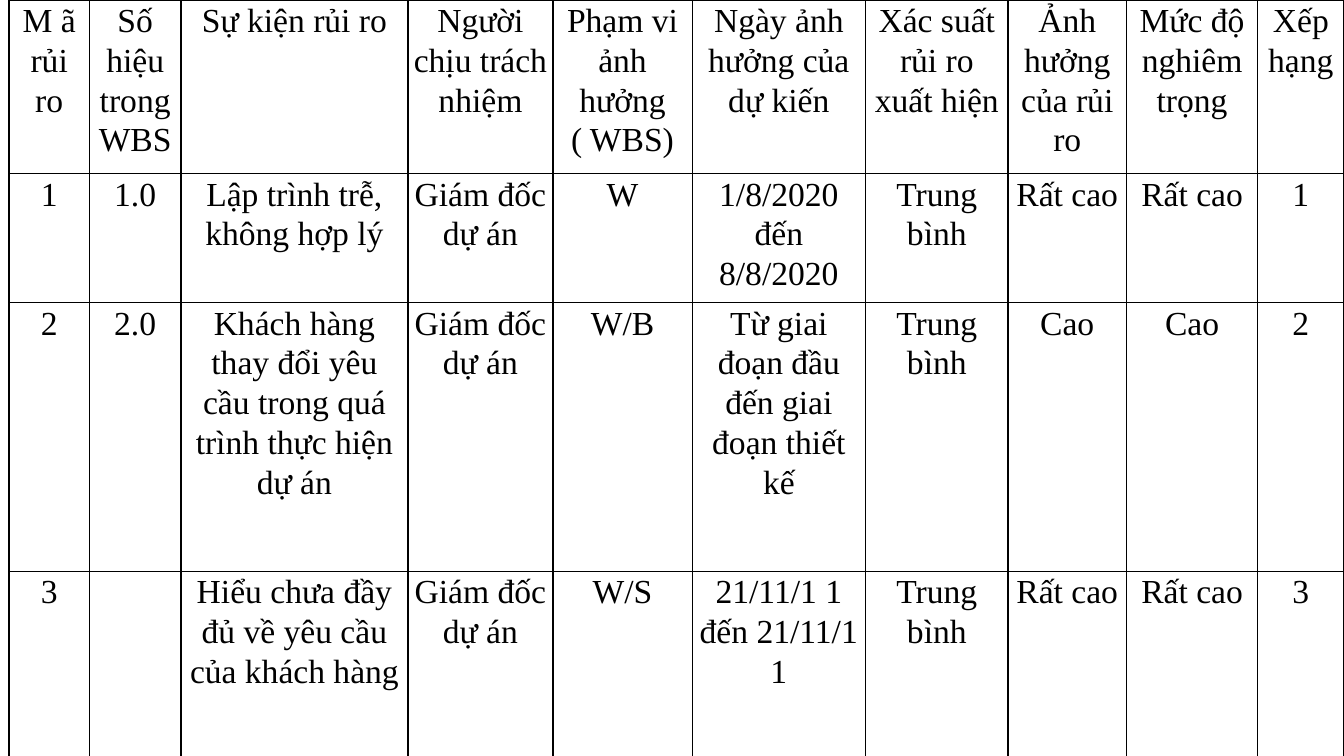
import pptx
import pptx.dml.color
import pptx.enum.text
import pptx.oxml
import pptx.oxml.ns
import pptx.util
from pptx.util import Cm

HEADERS = ["M ã rủi ro", "Số hiệu trong WBS", "Sự kiện rủi ro",
           "Người chịu trách nhiệm", "Phạm vi ảnh hưởng ( WBS)",
           "Ngày ảnh hưởng của dự kiến", "Xác suất rủi ro xuất hiện",
           "Ảnh hưởng của rủi ro", "Mức độ nghiêm trọng", "Xếp hạng"]
MANAGER = "Giám đốc dự án"
MEDIUM, HIGH, VERY_HIGH = "Trung bình", "Cao", "Rất cao"
RISKS = [
    ["1", "1.0", "Lập trình trễ, không hợp lý", MANAGER, "W",
     "1/8/2020 đến 8/8/2020", MEDIUM, VERY_HIGH, VERY_HIGH, "1"],
    ["2", "2.0", "Khách hàng thay đổi yêu cầu trong quá trình thực hiện dự án",
     MANAGER, "W/B", "Từ giai đoạn đầu đến giai đoạn thiết kế",
     MEDIUM, HIGH, HIGH, "2"],
    ["3", "", "Hiểu chưa đầy đủ về yêu cầu của khách hàng", MANAGER, "W/S",
     "21/11/1 1 đến 21/11/1 1", MEDIUM, VERY_HIGH, VERY_HIGH, "3"],
]
COL_WIDTHS = [1.52, 1.73, 4.29, 2.74, 2.63, 3.28, 2.69, 2.24, 2.48, 1.63]
ROW_HEIGHTS = [3.28, 2.44, 5.08, 3.51]


def color(value):
    return pptx.dml.color.RGBColor.from_string(value)


class SlideBuilder:
    font = "Times New Roman"
    size = 18
    ink = "000000"
    border_width = 0.75
    line_spacing = 1.07

    def __init__(self, slide):
        self.slide = slide

    def table(self, left, top, widths, heights, rows):
        frame = self.slide.shapes.add_table(
            len(rows), len(widths), Cm(left), Cm(top),
            Cm(sum(widths)), Cm(sum(heights)))
        table = frame.table
        table.first_row = table.horz_banding = False
        for column, width in zip(table.columns, widths):
            column.width = Cm(width)
        for row, height in zip(table.rows, heights):
            row.height = Cm(height)
        for row, texts in zip(table.rows, rows):
            for cell, text in zip(row.cells, texts):
                self.cell(cell, text)

    def cell(self, cell, text):
        self.borders(cell)
        cell.fill.background()
        cell.margin_left = cell.margin_right = Cm(0.08)
        cell.margin_top = cell.margin_bottom = 0
        p = cell.text_frame.paragraphs[0]
        p.text = text
        p.alignment = pptx.enum.text.PP_ALIGN.CENTER
        p.line_spacing = self.line_spacing
        p.font.name = self.font
        p.font.size = pptx.util.Pt(self.size)
        p.font.color.rgb = color(self.ink)

    def borders(self, cell):
        props = cell._tc.get_or_add_tcPr()
        width = pptx.util.Pt(self.border_width)
        for side in "LRTB":
            props.append(pptx.oxml.parse_xml(
                f'<a:ln{side} {pptx.oxml.ns.nsdecls("a")} w="{width}">'
                f'<a:solidFill><a:srgbClr val="{self.ink}"/></a:solidFill>'
                f'</a:ln{side}>'))


def main():
    prs = pptx.Presentation()
    prs.slide_width, prs.slide_height = Cm(25.4), Cm(14.29)
    # The slide has no title, so it uses the blank layout
    s = prs.slides.add_slide(prs.slide_layouts[6])

    # Risk register
    builder = SlideBuilder(s)
    builder.table(0.17, 0, COL_WIDTHS, ROW_HEIGHTS, [HEADERS] + RISKS)

    prs.save("out.pptx")


if __name__ == "__main__":
    main()
